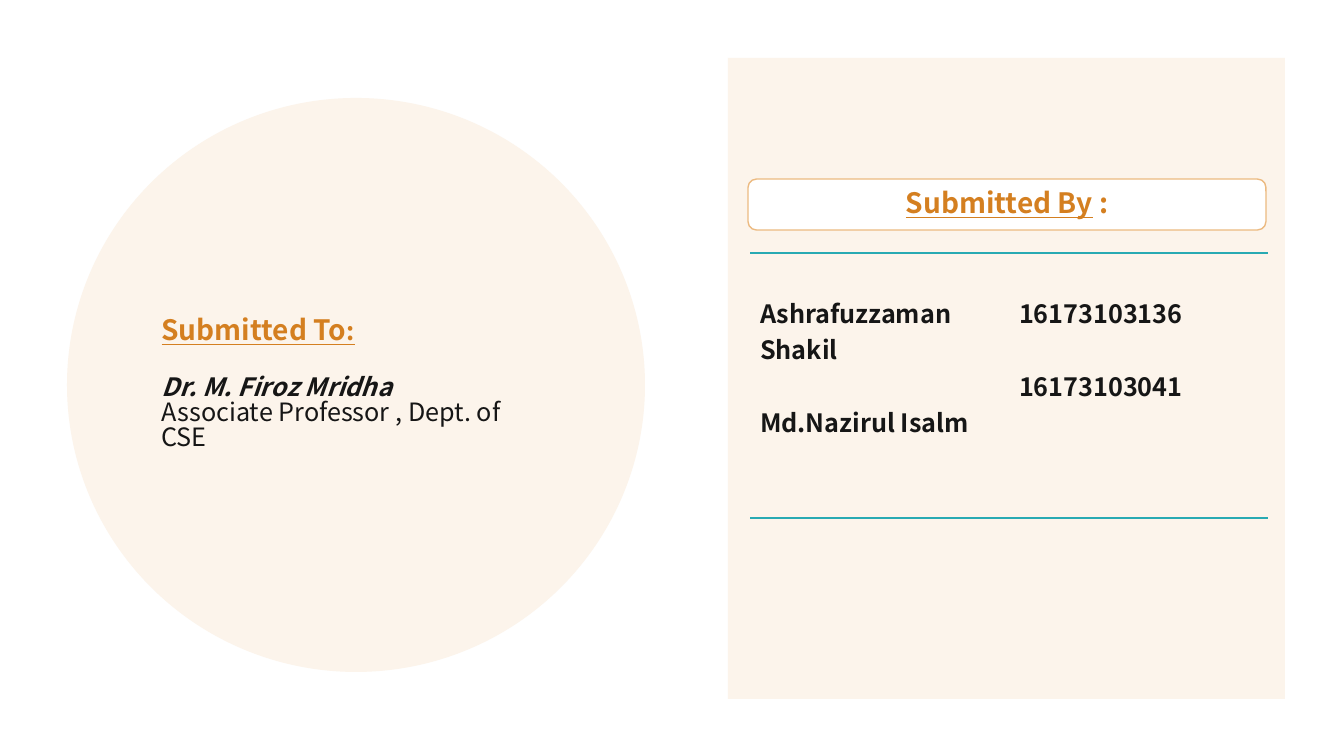
from dataclasses import dataclass

from lxml.etree import SubElement
from pptx import Presentation
from pptx.dml.color import RGBColor
from pptx.enum.shapes import MSO_SHAPE
from pptx.enum.text import MSO_ANCHOR, PP_ALIGN
from pptx.oxml.ns import qn
from pptx.util import Pt


@dataclass(frozen=True)
class Theme:
    font: str = "Noto Sans CJK SC"
    cream: str = "FCF4EB"
    white: str = "FFFFFF"
    orange: str = "D47F20"
    outline: str = "ECBA81"
    teal: str = "28AAB3"
    ink: str = "161616"
    heading: int = 20
    body: int = 18
    rule: int = 1


THEME = Theme()
PX = 914400 / 100.8
SLIDE_SIZE = (1344, 756)

# Content: each span is (text, size, colour, styles)
BY_HEADING = [
    [("Submitted By", THEME.heading, THEME.orange, "bold underline"),
     (" :", THEME.heading, THEME.orange, "bold")],
]
SUBMITTED_TO = [
    [("Submitted To", THEME.heading, THEME.orange, "bold underline"),
     (":", THEME.body, THEME.orange, "bold underline")],
    [("Dr. M. Firoz Mridha", THEME.body, THEME.ink, "bold italic")],
    [("Associate Professor , Dept. of CSE", THEME.body, THEME.ink, "")],
]
STUDENTS = [
    ("Ashrafuzzaman Shakil", "16173103136"),
    ("Md.Nazirul Isalm", "16173103041"),
]

# Layout in px: left, top, width, height
PANEL = (728, 58, 557, 641)
BY_BOX = (748, 179, 518, 51)
STUDENT_TABLE = (750, 253, 518, 265)
TO_CIRCLE = (67, 98, 578, 574)
CELL_TOP = 41
CIRCLE_RIGHT_INSET = 14
STUDENT_GAP = 26
NAME_GAP = 21.6


def emu(px):
    return round(px * PX)


def color(value):
    return RGBColor.from_string(value)


def add_box(page, kind, area, fill, line=None):
    box = page.shapes.add_shape(kind, *map(emu, area))
    box.shadow.inherit = False
    box.fill.solid()
    box.fill.fore_color.rgb = color(fill)
    if line:
        box.line.color.rgb = color(line)
        box.line.width = Pt(THEME.rule)
    else:
        box.line.fill.background()
    return box


def write(frame, paragraphs, align, spacing=1.0):
    frame.word_wrap = True
    frame.vertical_anchor = MSO_ANCHOR.MIDDLE
    for index, spans in enumerate(paragraphs):
        para = frame.paragraphs[0] if index == 0 else frame.add_paragraph()
        para.alignment = align
        para.line_spacing = spacing
        for text, size, ink, styles in spans:
            span = para.add_run()
            span.text = text
            font = span.font
            font.name, font.size = THEME.font, Pt(size)
            font.color.rgb = color(ink)
            font.bold = "bold" in styles
            font.italic = "italic" in styles
            font.underline = "underline" in styles


def set_borders(cell):
    properties = cell._tc.get_or_add_tcPr()
    for side in ("lnL", "lnR", "lnT", "lnB"):
        border = SubElement(properties, qn(f"a:{side}"), w=str(Pt(THEME.rule)))
        if side in ("lnT", "lnB"):
            fill = SubElement(border, qn("a:solidFill"))
            SubElement(fill, qn("a:srgbClr"), val=THEME.teal)
        else:
            SubElement(border, qn("a:noFill"))


def add_students(page):
    columns = list(zip(*STUDENTS))
    table = page.shapes.add_table(1, len(columns), *map(emu, STUDENT_TABLE)).table
    table.first_row = table.horz_banding = False
    for cell, entries in zip(table.rows[0].cells, columns):
        set_borders(cell)
        cell.fill.background()
        cell.margin_top = emu(CELL_TOP)
        write(cell.text_frame,
              [[(entry, THEME.body, THEME.ink, "bold")] for entry in entries],
              PP_ALIGN.LEFT)
        cell.vertical_anchor = MSO_ANCHOR.TOP
        for para in cell.text_frame.paragraphs[1:]:
            para.space_before = Pt(STUDENT_GAP)


def main():
    deck = Presentation()
    deck.slide_width, deck.slide_height = map(emu, SLIDE_SIZE)
    page = deck.slides.add_slide(deck.slide_layouts[6])

    # Right panel: students
    add_box(page, MSO_SHAPE.RECTANGLE, PANEL, THEME.cream)
    by_box = add_box(page, MSO_SHAPE.ROUNDED_RECTANGLE, BY_BOX,
                     THEME.white, THEME.outline)
    write(by_box.text_frame, BY_HEADING, PP_ALIGN.CENTER, 0.9)
    add_students(page)

    # Left circle: teacher
    circle = add_box(page, MSO_SHAPE.FLOWCHART_CONNECTOR, TO_CIRCLE, THEME.cream)
    write(circle.text_frame, SUBMITTED_TO, PP_ALIGN.LEFT, 0.83)
    circle.text_frame.margin_right = emu(CIRCLE_RIGHT_INSET)
    circle.text_frame.paragraphs[1].space_before = Pt(NAME_GAP)

    deck.save("out.pptx")


if __name__ == "__main__":
    main()
